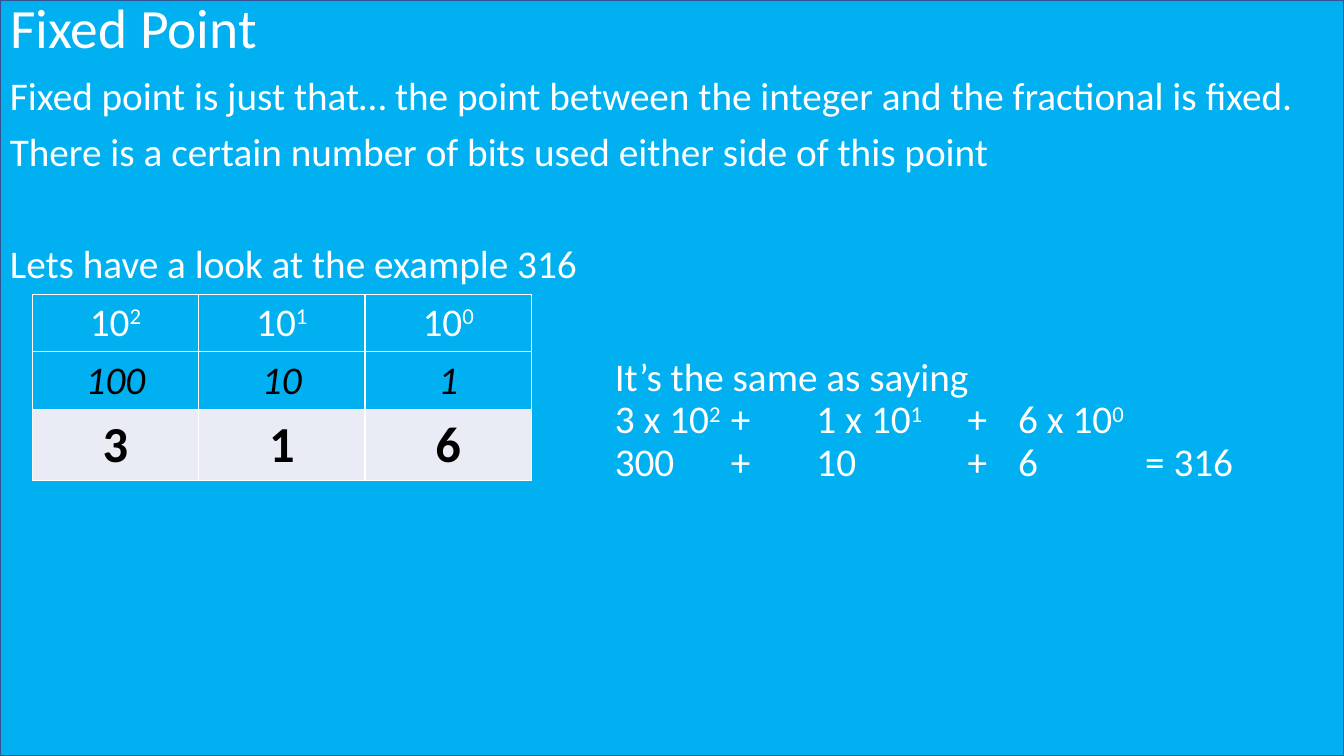
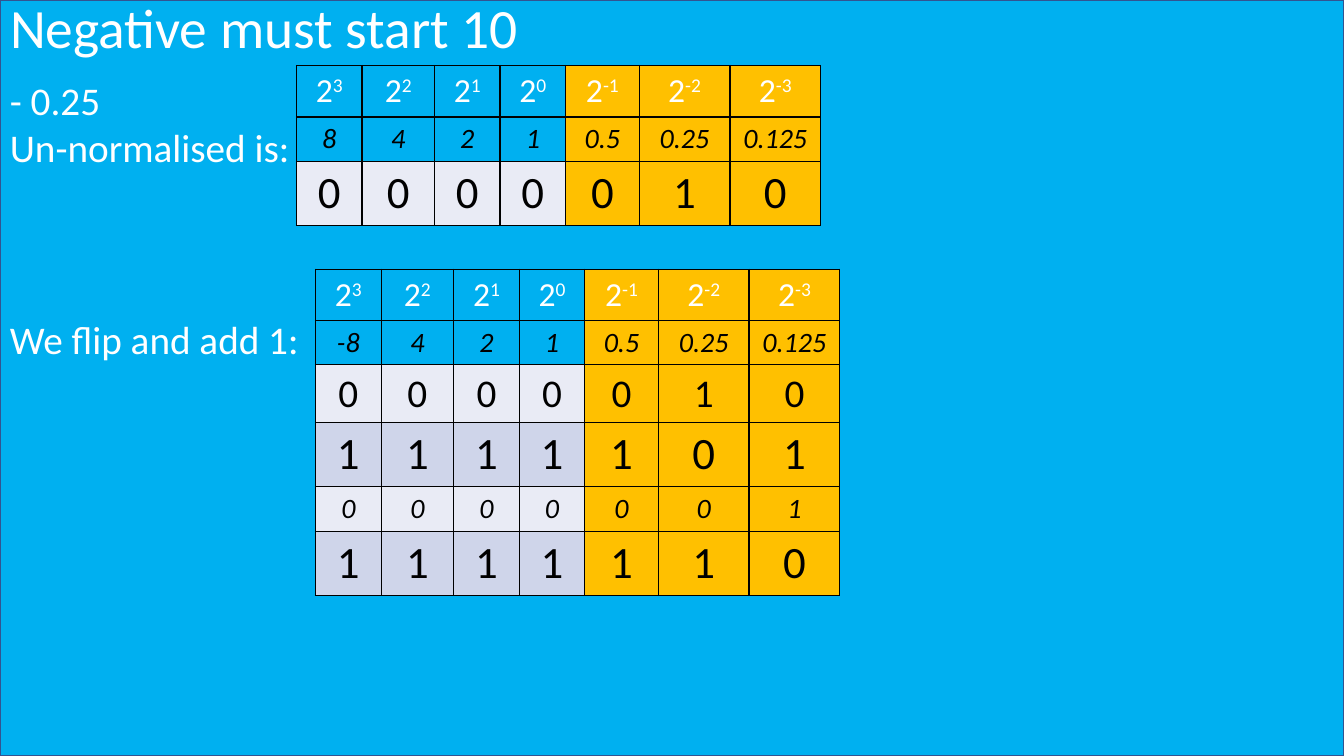
"""Build two slides on fixed point numbers and negative binary values."""
from pptx import Presentation
from pptx import util as u
from pptx.dml.color import RGBColor
from pptx.enum import shapes, text
from pptx.oxml import parse_xml
from pptx.oxml.ns import nsdecls

FONT = "Calibri"
HUES = {"blue": "00B0F0", "edge": "325491", "white": "FFFFFF", "black": "000000",
        "gold": "FFC000", "pale": "E9EBF5", "mist": "CFD5EA"}
WIDE, HIGH = 13.33, 7.5
BODY = 28

POWERS = ["2|3", "2|2", "2|1", "2|0", "2|-1", "2|-2", "2|-3"]
PLACES = ["4", "2", "1", "0.5", "0.25", "0.125"]
BITS = [0.65, 0.72, 0.65, 0.65, 0.73, 0.9, 0.9]
HEAD = (POWERS, 24, "white", "", "blue")

SLIDES = [
    {"title": "Fixed Point",
     "notes": [
         {"at": (0, 0.71, 13.33, 1.2), "space": 0.9, "gap": 10, "lines": [
             "Fixed point is just that… the point between the integer and the fractional is fixed.",
             "There is a certain number of bits used either side of this point"]},
         {"at": (0, 2.38, 6, 0.52), "space": 0.9, "lines": [
             "Lets have a look at the example 316"]},
         {"at": (6, 3.5, 7.2, 1.4), "space": 0.9, "tabs": [1.15, 2, 3.5, 4, 5.26],
          "lines": ["It’s the same as saying",
                    "3 x 10|2|\t+\t1 x 10|1|\t+\t6 x 10|0",
                    "300\t+\t10\t+\t6\t= 316"]}],
     "grids": [
         {"at": (0.32, 2.92), "cols": [1.65] * 3, "line": "white", "rows": [
             (["10|2", "10|1", "10|0"], 28, "white", "", "blue"),
             (["100", "10", "1"], 28, "black", "i", "blue"),
             (["3", "1", "6"], 36, "black", "b", "pale")]}]},
    {"title": "Negative must start 10",
     "notes": [
         {"at": (0, 0.71, 3.2, 1.05), "lines": ["- 0.25", "Un-normalised is:"]},
         {"at": (0, 3.08, 3.2, 0.58), "lines": ["We flip and add 1:"]}],
     "grids": [
         {"at": (2.94, 0.65), "cols": BITS, "line": "black", "gold": 4, "rows": [
             HEAD,
             (["8"] + PLACES, 20, "black", "i", "blue"),
             ("0000010", 32, "black", "", "pale")]},
         {"at": (3.13, 2.67), "cols": BITS, "line": "black", "gold": 4, "rows": [
             HEAD,
             (["-8"] + PLACES, 20, "black", "i", "blue"),
             ("0000010", 28, "black", "", "pale"),
             ("1111101", 32, "black", "", "mist"),
             ("0000001", 20, "black", "i", "pale"),
             ("1111110", 32, "black", "", "mist")]}]},
]


def hue(name):
    return RGBColor.from_string(HUES[name])


def inches(values):
    return [u.Inches(value) for value in values]


def write(para, words, size, color="white", style=""):
    """Fill a paragraph; every second part between bars is raised."""
    for index, part in enumerate(words.split("|")):
        run = para.add_run()
        run.text = part
        font = run.font
        font.name, font.size, font.color.rgb = FONT, u.Pt(size), hue(color)
        font.bold, font.italic = style == "b", style == "i"
        if index % 2:
            run._r.get_or_add_rPr().set("baseline", "30000")


def add_back(prs, slide):
    """Draw the backdrop and move it to the master."""
    back = slide.shapes.add_shape(shapes.MSO_SHAPE.RECTANGLE, *inches([0, 0, WIDE, HIGH]))
    back.shadow.inherit = False
    back.fill.solid()
    back.fill.fore_color.rgb = hue("blue")
    back.line.color.rgb = hue("edge")
    back.line.width = u.Pt(1)
    back._element.nvSpPr.cNvPr.set("id", "99")
    prs.slide_master.shapes._spTree.insert(2, back._element)


def add_title(slide, words):
    title = slide.shapes.title
    title.left, title.top, title.width, title.height = inches([0, 0, WIDE, 0.61])
    frame = title.text_frame
    frame.auto_size = text.MSO_AUTO_SIZE.NONE
    frame.vertical_anchor = text.MSO_ANCHOR.MIDDLE
    para = frame.paragraphs[0]
    para.alignment = text.PP_ALIGN.LEFT
    para.line_spacing = 0.9
    write(para, words, 39.6)


def add_note(slide, note):
    frame = slide.shapes.add_textbox(*inches(note["at"])).text_frame
    frame.word_wrap = True
    for index, line in enumerate(note["lines"]):
        para = frame.add_paragraph() if index else frame.paragraphs[0]
        if "tabs" in note:
            stops = "".join(f'<a:tab pos="{u.Inches(stop)}" algn="l"/>' for stop in note["tabs"])
            para._p.get_or_add_pPr().append(
                parse_xml(f'<a:tabLst {nsdecls("a")}>{stops}</a:tabLst>'))
        para.line_spacing = note.get("space", 1.0)
        if index:
            para.space_before = u.Pt(note.get("gap", 0))
        write(para, line, BODY)


def add_edges(cell, color):
    for side in "LRTB":
        cell._tc.get_or_add_tcPr().append(parse_xml(
            f'<a:ln{side} {nsdecls("a")} w="12700"><a:solidFill>'
            f'<a:srgbClr val="{HUES[color]}"/></a:solidFill></a:ln{side}>'))


def add_grid(slide, grid):
    cols, rows = grid["cols"], grid["rows"]
    highs = [round(row[1] * 1.22 / 72 + 0.1, 2) for row in rows]
    table = slide.shapes.add_table(
        len(rows), len(cols), *inches([*grid["at"], sum(cols), sum(highs)])).table
    table.first_row = table.horz_banding = False
    for col, width in zip(table.columns, inches(cols)):
        col.width = width
    for y, (words, size, color, style, fill) in enumerate(rows):
        table.rows[y].height = u.Inches(highs[y])
        for x, word in enumerate(words):
            cell = table.cell(y, x)
            add_edges(cell, grid["line"])
            cell.fill.solid()
            cell.fill.fore_color.rgb = hue("gold" if x >= grid.get("gold", len(cols)) else fill)
            para = cell.text_frame.paragraphs[0]
            para.alignment = text.PP_ALIGN.CENTER
            write(para, word, size, color, style)


def main():
    prs = Presentation()
    prs.slide_width, prs.slide_height = inches([WIDE, HIGH])
    for index, data in enumerate(SLIDES):
        slide = prs.slides.add_slide(prs.slide_layouts[5])
        if not index:
            add_back(prs, slide)
        add_title(slide, data["title"])
        for note in data["notes"]:
            add_note(slide, note)
        for grid in data["grids"]:
            add_grid(slide, grid)
    prs.save("out.pptx")


if __name__ == "__main__":
    main()
